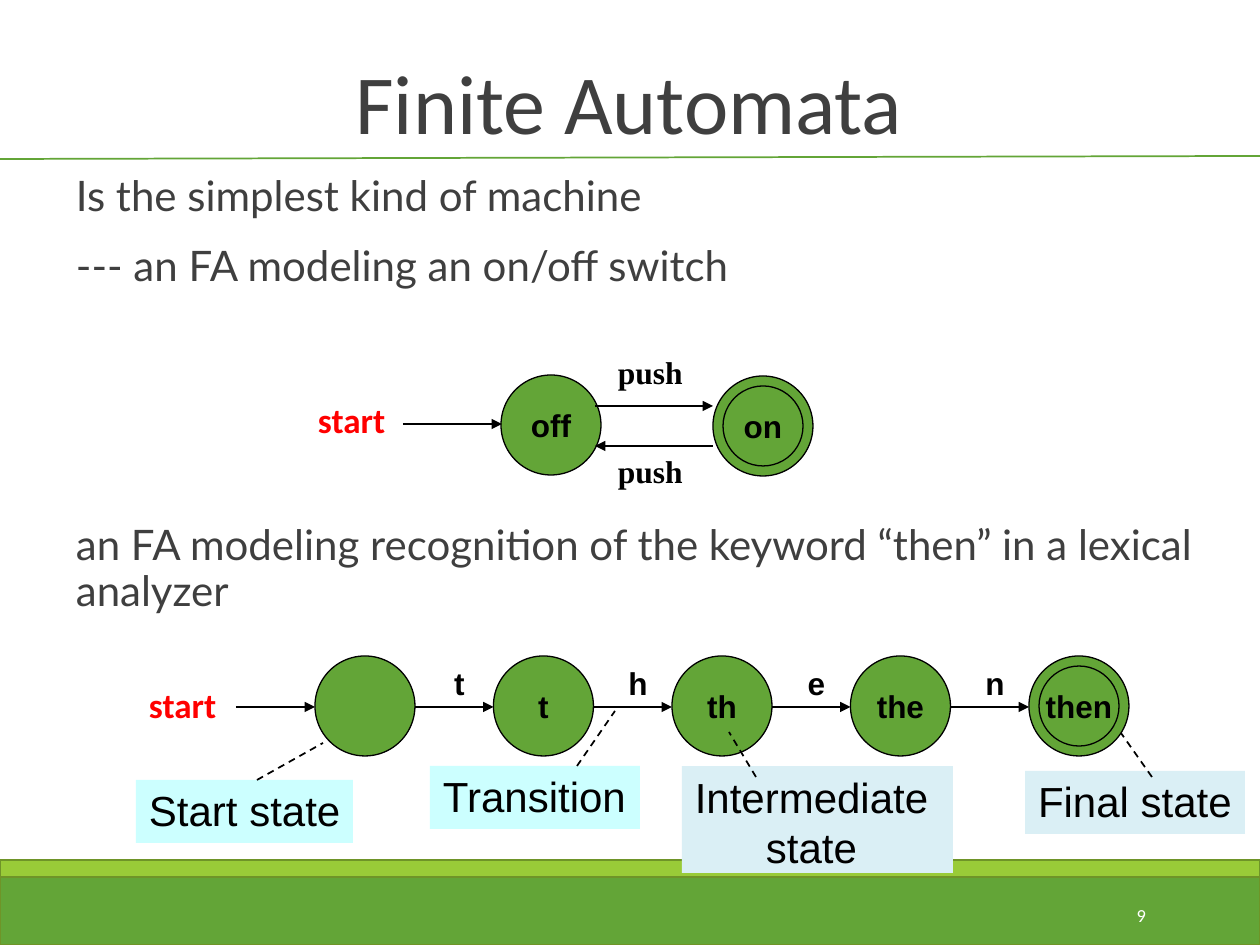
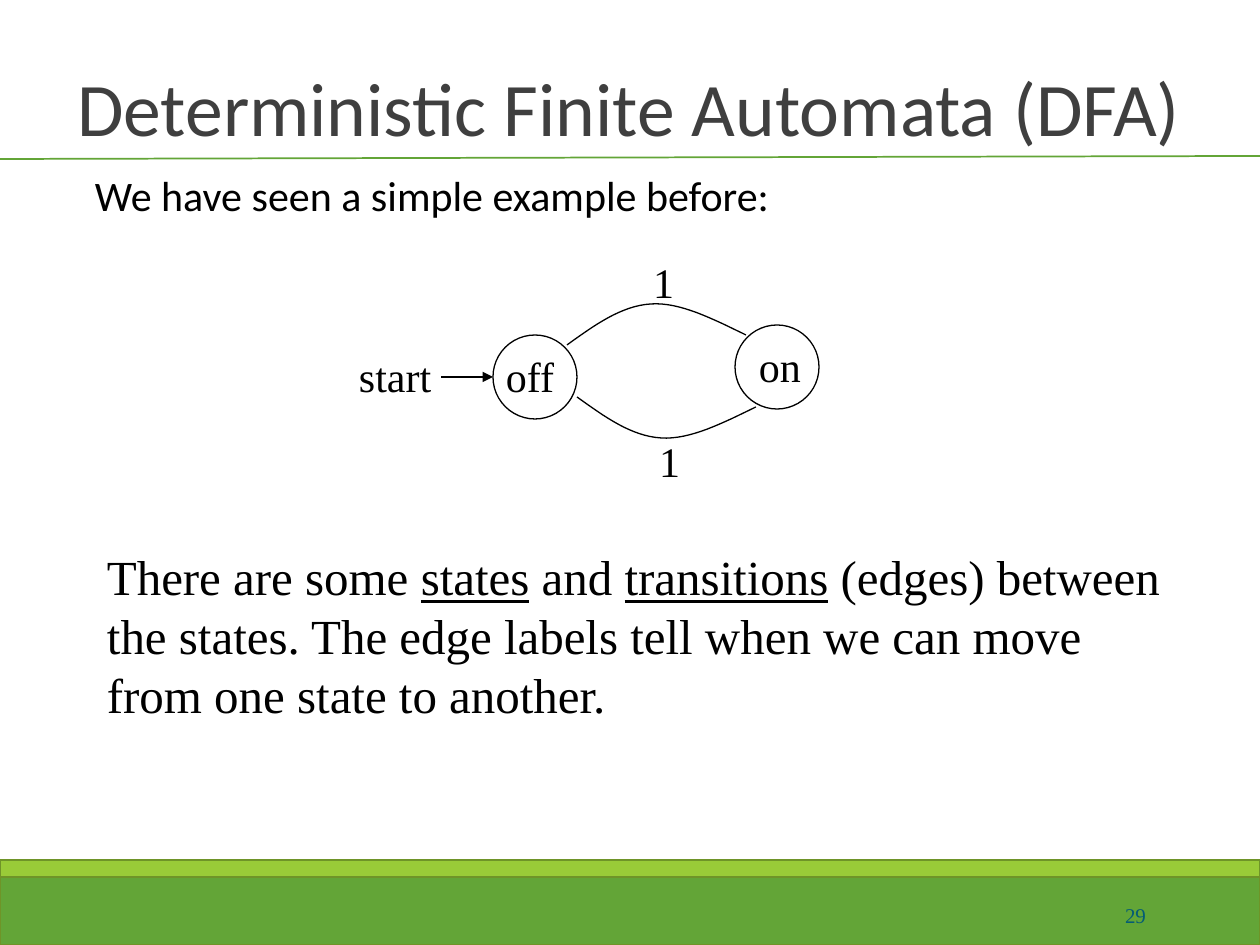
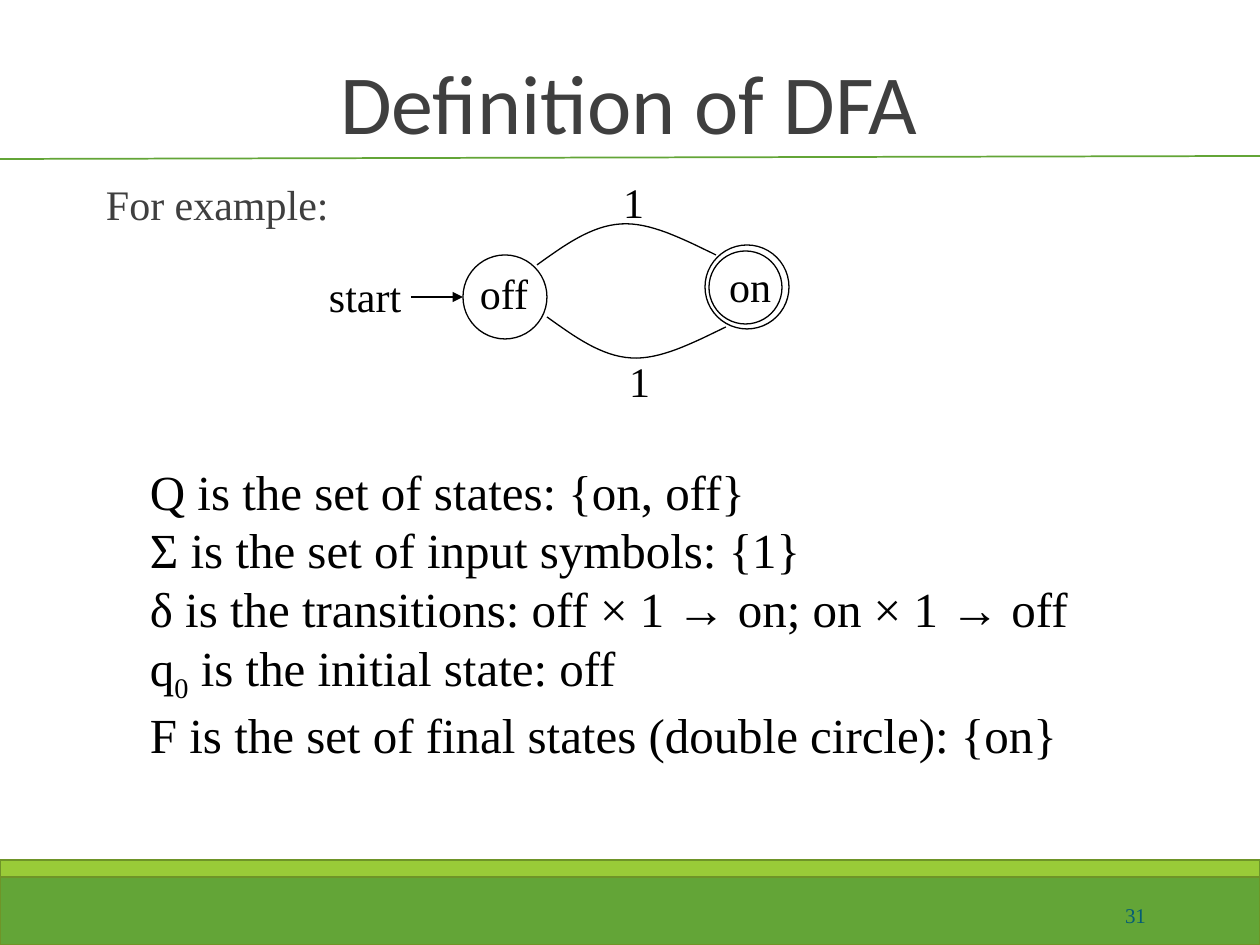
import pptx
import pptx.util
import pptx.dml.color
import pptx.enum.dml
import pptx.enum.shapes
import pptx.enum.text
import pptx.oxml.ns
import lxml.etree

PX = 914400 / 126
W, H = 1260, 945
COLORS = {
    "band": "63A537", "strip": "99CB38", "edge": "6F9428", "grey": "3F3F3F",
    "black": "000000", "red": "FF0000", "white": "FFFFFF", "teal": "045C75",
    "cyan": "CCFFFF", "pale": "DAEFF5",
}
CALIBRI, TIMES, ARIAL, LATO = "Calibri", "Times New Roman", "Arial", "Lato"
ALIGN = pptx.enum.text.PP_ALIGN
ANCHOR = pptx.enum.text.MSO_ANCHOR
SHAPE = pptx.enum.shapes.MSO_SHAPE

# Content: title, title size, then page number with its font, size, colour
HEADS = [
    ("Finite Automata", 48, ("9", CALIBRI, 10.5, "white")),
    ("Deterministic Finite Automata (DFA)", 43.2, ("29", TIMES, 12, "teal")),
    ("Definition of DFA", 48, ("31", TIMES, 12, "teal")),
]
MACHINE_INTRO = [
    "Is the simplest kind of machine",
    "--- an FA modeling an on/off switch",
    "an FA modeling recognition of the keyword “then” in a lexical analyzer",
]
MACHINE_GAPS = [0, 14, 134]  # points before each paragraph
PREFIXES = ["", "t", "th", "the", "then"]
LETTERS = "then"
# Callouts: text, fill, box, pointer start and end
CALLOUTS = [
    ("Start state", "cyan", (136, 780, 217, 63), (257, 780), (323, 743)),
    ("Final state", "pale", (1025, 771, 220, 63), (1152, 777), (1121, 733)),
    ("Transition", "cyan", (430, 766, 210, 63), (577, 766), (615, 711)),
    ("Intermediate state", "pale", (682, 766, 271, 107), (756, 777), (729, 732)),
]
EDGES_TEXT = [["There are some ", ("states", "u"), " and ", ("transitions", "u"),
               " (edges) between the states. The edge labels tell when we can "
               "move from one state to another."]]
DEFINITION = [
    "Q is the set of states: {on, off}",
    "Σ is the set of input symbols: {1}",
    "δ is the transitions: off × 1 → on; on × 1 → off",
    ["q", ("0", "sub"), " is the initial state: off"],
    "F is the set of final states (double circle): {on}",
]
# Upper edge of the switch, relative to the "off" circle: two Bezier segments
ARC = [(74, 10), (102, -10), (128, -29), (158, -31), (187, -33), (220, -16), (253, 0)]


def emu(*values):
    return [pptx.util.Emu(round(v * PX)) for v in values]


def rgb(name):
    return pptx.dml.color.RGBColor.from_string(COLORS[name])


# Drawing helpers
def paint(sp, fill=None, line=None, width=0.75):
    sp.shadow.inherit = False
    if fill:
        sp.fill.solid()
        sp.fill.fore_color.rgb = rgb(fill)
    else:
        sp.fill.background()
    if line:
        sp.line.color.rgb = rgb(line)
        sp.line.width = pptx.util.Pt(width)
    else:
        sp.line.fill.background()


def write(sp, paragraphs, font, size, color="black", bold=False, align=ALIGN.LEFT,
          anchor=ANCHOR.TOP, insets=(13, 6, 13, 6), spacing=None, gaps=None):
    tf = sp.text_frame
    tf.word_wrap = True
    tf.vertical_anchor = anchor
    tf.margin_left, tf.margin_top, tf.margin_right, tf.margin_bottom = emu(*insets)
    if isinstance(paragraphs, str):
        paragraphs = [paragraphs]
    for i, runs in enumerate(paragraphs):
        p = tf.paragraphs[0] if i == 0 else tf.add_paragraph()
        p.alignment = align
        p.font.name, p.font.size, p.font.bold = font, pptx.util.Pt(size), bold
        p.font.color.rgb = rgb(color)
        if spacing:
            p.line_spacing = spacing
        if gaps:
            p.space_before = pptx.util.Pt(gaps[i])
        for run in [runs] if isinstance(runs, str) else runs:
            text, style = (run, None) if isinstance(run, str) else run
            r = p.add_run()
            r.text = text
            if style == "u":
                r.font.underline = True
            elif style == "sub":
                r._r.get_or_add_rPr().set("baseline", "-25000")


def label(slide, box, paragraphs, font, size, fill=None, **style):
    sp = slide.shapes.add_textbox(*emu(*box))
    if fill:
        paint(sp, fill)
    write(sp, paragraphs, font, size, **style)


def block(slide, kind, box, **look):
    sp = slide.shapes.add_shape(kind, *emu(*box))
    paint(sp, **look)
    return sp


def circle(slide, x, y, d, fill=None):
    return block(slide, SHAPE.OVAL, (x, y, d, d), fill=fill, line="black")


def connect(slide, start, end, color="black", width=0.75, arrow=False, dash=False):
    straight = pptx.enum.shapes.MSO_CONNECTOR.STRAIGHT
    sp = slide.shapes.add_connector(straight, *emu(*start, *end))
    sp.line.color.rgb = rgb(color)
    sp.line.width = pptx.util.Pt(width)
    if dash:
        sp.line.dash_style = pptx.enum.dml.MSO_LINE.DASH
    qn = pptx.oxml.ns.qn
    if arrow:
        lxml.etree.SubElement(sp.line._get_or_add_ln(), qn("a:tailEnd"), type="triangle")
    lxml.etree.SubElement(sp._element.spPr, qn("a:effectLst"))


def curve(slide, controls, steps=16):
    points = [controls[0]]
    for i in range(0, len(controls) - 1, 3):
        segment = controls[i:i + 4]
        for k in range(1, steps + 1):
            t = k / steps
            weights = ((1 - t) ** 3, 3 * t * (1 - t) ** 2, 3 * t * t * (1 - t), t ** 3)
            points.append([sum(w * c[axis] for w, c in zip(weights, segment))
                           for axis in (0, 1)])
    points = [emu(*point) for point in points]
    builder = slide.shapes.build_freeform(*points[0], scale=1.0)
    builder.add_line_segments(points[1:], close=False)
    paint(builder.convert_to_shape(), line="black")


# Parts every slide shares
def new_slide(prs, title, size, page):
    slide = prs.slides.add_slide(prs.slide_layouts[5])
    block(slide, SHAPE.RECTANGLE, (0, 872, W, 73), fill="band", line="edge", width=1.25)
    block(slide, SHAPE.RECTANGLE, (0, 860, W, 17), fill="strip", line="edge", width=1.25)
    connect(slide, (0, 159), (W, 156), "band", 1)
    sp = slide.shapes.title
    sp.left, sp.top, sp.width, sp.height = emu(62, 32, 1134, 126)
    write(sp, title, CALIBRI, size, "grey", align=ALIGN.CENTER,
          anchor=ANCHOR.BOTTOM, spacing=0.85)
    number, font, number_size, color = page
    label(slide, (1023, 890, 136, 50), number, font, number_size, color=color,
          align=ALIGN.RIGHT, anchor=ANCHOR.MIDDLE)
    return slide


def body(slide, box, paragraphs, font, color, indent=13, gaps=None):
    label(slide, box, paragraphs, font, 24, color=color,
          insets=(indent, 6, 0, 6), spacing=0.9, gaps=gaps)


# Filled state machines
def state(slide, x, y, name, final=False):
    sp = circle(slide, x, y, 100, "band")
    if name:
        write(sp, name, ARIAL, 18, bold=True, align=ALIGN.CENTER,
              anchor=ANCHOR.MIDDLE, insets=(0, 0, 0, 0))
        sp.text_frame.word_wrap = False
    if final:
        circle(slide, x + 10, y + 10, 80)


def start_mark(slide, x, y):
    label(slide, (x, y, 139, 54), "start", CALIBRI, 20, color="red", bold=True)


def draw_push_switch(slide):
    state(slide, 501, 375, "off")
    state(slide, 713, 376, "on", final=True)
    start_mark(slide, 305, 392)
    connect(slide, (403, 424), (502, 424), arrow=True)
    connect(slide, (595, 406), (713, 406), arrow=True)
    connect(slide, (713, 446), (595, 446), arrow=True)
    for y in (347, 446):
        label(slide, (605, y, 128, 50), "push", TIMES, 18, bold=True)


def draw_keyword_chain(slide, left=315, top=656, pitch=178.5):
    axis = top + 51
    start_mark(slide, 136, 677)
    connect(slide, (236, axis), (left, axis), arrow=True)
    for i, prefix in enumerate(PREFIXES):
        x = left + i * pitch
        state(slide, x, top, prefix, final=prefix == LETTERS)
        if i < len(LETTERS):
            connect(slide, (x + 100, axis), (x + pitch, axis), arrow=True)
            label(slide, (x + 100, 658, 89, 50), LETTERS[i], ARIAL, 18,
                  bold=True, align=ALIGN.CENTER)


# Outlined switch, placed by the corner of its "off" circle
def draw_switch(slide, left, top, off_at, final=False):
    circle(slide, left, top, 84)
    circle(slide, left + 242, top - 10, 84)
    if final:
        circle(slide, left + 246, top - 4, 73)
    curve(slide, [(left + x, top + y) for x, y in ARC])
    curve(slide, [(left + x + 10, top + 72 - y) for x, y in ARC])
    connect(slide, (left - 52, top + 42), (left, top + 42), arrow=True)
    words = [("off", *off_at, 78), ("on", 253, 0, 70), ("start", -147, 10, 101),
             ("1", 147, -84, 47), ("1", 153, 95, 47)]
    for word, x, y, width in words:
        label(slide, (left + x, top + y, width, 63), word, TIMES, 24)


def main():
    prs = pptx.Presentation()
    prs.slide_width, prs.slide_height = emu(W, H)
    machine, example, definition = [new_slide(prs, *head) for head in HEADS]

    # Finite automata
    body(machine, (63, 169, 1134, 672), MACHINE_INTRO, LATO, "grey", gaps=MACHINE_GAPS)
    draw_push_switch(machine)
    draw_keyword_chain(machine)
    for text, fill, box, start, end in CALLOUTS:
        centred = text.startswith("Intermediate")
        label(machine, box, text, ARIAL, 24, fill=fill,
              align=ALIGN.CENTER if centred else ALIGN.LEFT,
              insets=(0, 5, 12, 0) if centred else (13, 5, 0, 0))
        connect(machine, start, end, width=1, dash=True)

    # Simple example
    body(example, (63, 169, 1134, 672), "We have seen a simple example before:",
         CALIBRI, "black", indent=32)
    draw_switch(example, 493, 335, off_at=(0, 10))
    label(example, (94, 541, 1081, 189), EDGES_TEXT, TIMES, 28)

    # Definition
    body(definition, (93, 178, 1071, 567), "For example:", TIMES, "grey")
    draw_switch(definition, 463, 255, off_at=(4, 7), final=True)
    label(definition, (137, 455, 944, 307), DEFINITION, TIMES, 28)

    prs.save("out.pptx")


if __name__ == "__main__":
    main()
